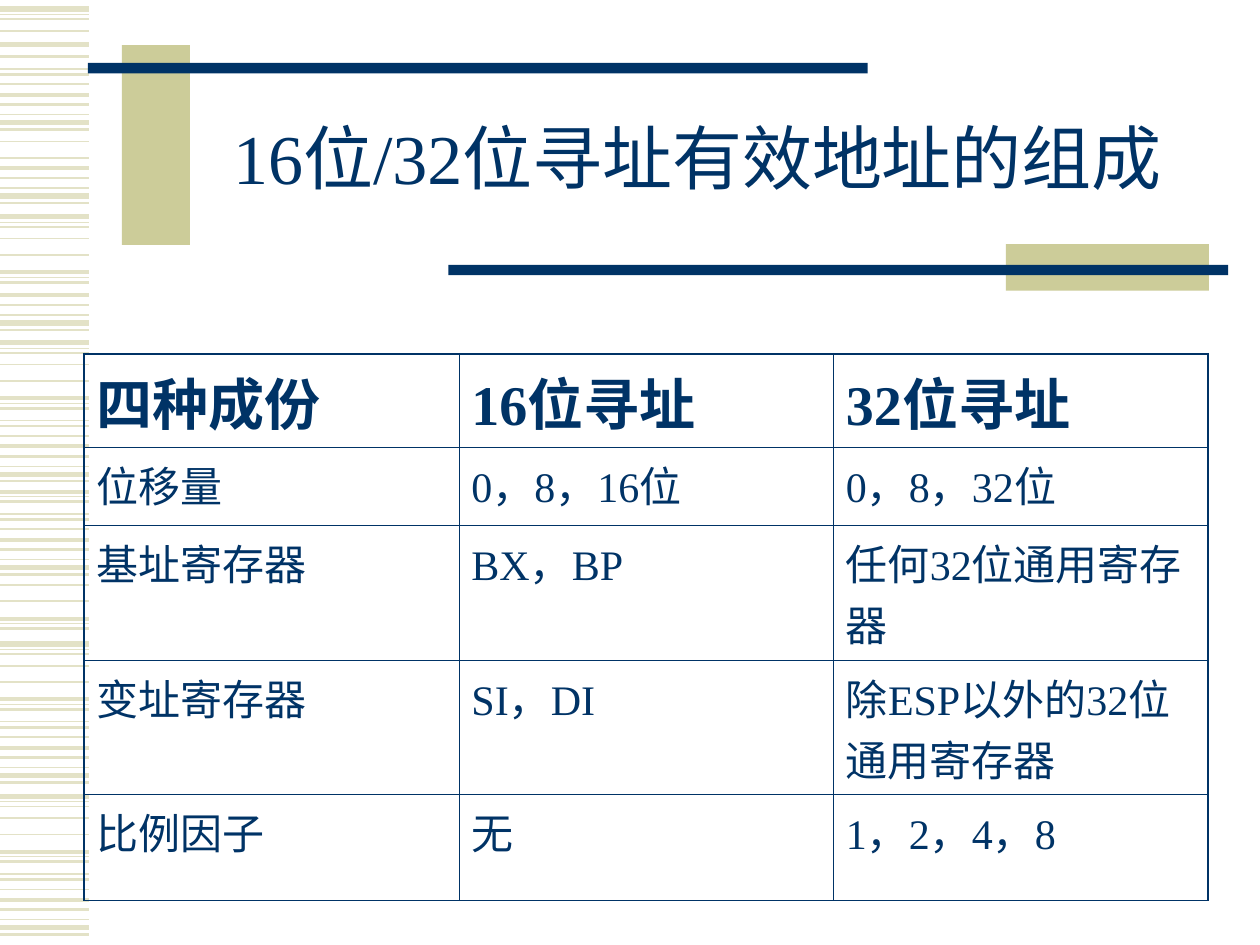
"""Build the slide on effective address composition in 16-bit and 32-bit addressing."""
from typing import NamedTuple

import lxml.etree
import pptx
import pptx.dml.color
import pptx.enum.shapes
import pptx.enum.text
import pptx.oxml
import pptx.oxml.ns
import pptx.util

Cm = pptx.util.Cm
Pt = pptx.util.Pt
COLORS = {"navy": "003366", "olive": "CCCC99", "stripe": "E3E2C7"}
FONT = "Times New Roman"
STRIPE_LENGTH = 1.8
THIN, THICK = 0.45, 1.08


class Stripe(NamedTuple):
    offset: float
    weight: float


class StripeRun(NamedTuple):
    top: float
    first: int = 0
    last: int = 15


class Bar(NamedTuple):
    left: float
    top: float
    width: float
    height: float
    color: str


STRIPES = [
    Stripe(0, 3), Stripe(0.11, 0.75), Stripe(0.21, 1), Stripe(0.44, 1),
    Stripe(0.77, 1), Stripe(1.12, 2.25), Stripe(1.22, 0.75), Stripe(1.32, 1.5),
    Stripe(1.57, 0.75), Stripe(1.68, 1.5), Stripe(1.88, 1), Stripe(2.09, 2.25),
    Stripe(2.29, 1.5), Stripe(2.49, 0.75), Stripe(2.65, 3), Stripe(2.79, 1.5),
]
STRIPE_RUNS = [
    StripeRun(0.18, 0, 3), StripeRun(0.89, 0, 0), StripeRun(-0.18, 7),
    StripeRun(2.08, 4, 4), StripeRun(1.3, 10), StripeRun(4.37, 0, 7),
    StripeRun(3.86, 11), StripeRun(6.91), StripeRun(8.79, 5),
    StripeRun(11.35, 3, 7), StripeRun(12.98), StripeRun(16.05),
]
BARS = [
    Bar(2.46, 0.91, 1.37, 4.03, "olive"),
    Bar(1.77, 1.27, 15.72, 0.21, "navy"),
    Bar(20.28, 4.92, 4.09, 0.94, "olive"),
    Bar(9.04, 5.34, 15.72, 0.21, "navy"),
]
ROWS = [
    ("四种成份", "16位寻址", "32位寻址"),
    ("位移量", "0，8，16位", "0，8，32位"),
    ("基址寄存器", "BX，BP", "任何32位通用寄存器"),
    ("变址寄存器", "SI，DI", "除ESP以外的32位通用寄存器"),
    ("比例因子", "无", "1，2，4，8"),
]
ROW_HEIGHTS = [1.89, 1.57, 2.72, 2.71, 2.13]
COLUMN_WIDTH = 7.55


def rgb(name: str) -> pptx.dml.color.RGBColor:
    """Return the named colour."""
    return pptx.dml.color.RGBColor.from_string(COLORS[name])


def write_text(frame, text: str, *, size: float, bold: bool = False, align=None,
               line_spacing=None) -> None:
    """Write one formatted paragraph in a text frame."""
    frame.word_wrap = True
    paragraph = frame.paragraphs[0]
    paragraph.alignment = align
    paragraph.line_spacing = line_spacing
    run = paragraph.add_run()
    run.text = text
    run.font.name = FONT
    run.font.size = Pt(size)
    run.font.bold = bold
    run.font.color.rgb = rgb("navy")


def draw_stripe(slide, top: float, weight: float) -> None:
    """Draw one horizontal stripe at the left edge."""
    connector = slide.shapes.add_connector(
        pptx.enum.shapes.MSO_CONNECTOR.STRAIGHT, Cm(0), Cm(top), Cm(STRIPE_LENGTH), Cm(top))
    connector.line.color.rgb = rgb("stripe")
    connector.line.width = Pt(weight)
    lxml.etree.SubElement(connector._element.spPr, pptx.oxml.ns.qn("a:effectLst"))


def draw_bar(slide, bar: Bar) -> None:
    """Draw one decorative rectangle."""
    shape = slide.shapes.add_shape(
        pptx.enum.shapes.MSO_SHAPE.RECTANGLE,
        Cm(bar.left), Cm(bar.top), Cm(bar.width), Cm(bar.height))
    shape.shadow.inherit = False
    shape.fill.solid()
    shape.fill.fore_color.rgb = rgb(bar.color)
    shape.line.fill.background()


def set_borders(cell, weights: dict[str, float]) -> None:
    """Give each side of a cell a solid navy line."""
    properties = cell._tc.get_or_add_tcPr()
    for index, (side, weight) in enumerate(weights.items()):
        properties.insert(index, pptx.oxml.parse_xml(
            f'<a:{side} {pptx.oxml.ns.nsdecls("a")} w="{Pt(weight)}"><a:solidFill>'
            f'<a:srgbClr val="{COLORS["navy"]}"/></a:solidFill></a:{side}>'))


def draw_table(slide) -> None:
    """Draw the addressing table."""
    column_count = len(ROWS[0])
    table = slide.shapes.add_table(
        len(ROWS), column_count, Cm(1.7), Cm(7.13),
        Cm(COLUMN_WIDTH * column_count), Cm(sum(ROW_HEIGHTS))).table
    table.first_row = False
    table.horz_banding = False
    for column in table.columns:
        column.width = Cm(COLUMN_WIDTH)
    for row_index, texts in enumerate(ROWS):
        table.rows[row_index].height = Cm(ROW_HEIGHTS[row_index])
        header = row_index == 0
        for column_index, text in enumerate(texts):
            cell = table.cell(row_index, column_index)
            cell.fill.background()
            write_text(cell.text_frame, text, size=32 if header else 24, bold=header)
            cell.text_frame.paragraphs[0].space_before = Pt(8 if header else 6)
            set_borders(cell, {
                "lnL": THICK if column_index == 0 else THIN,
                "lnR": THICK if column_index == column_count - 1 else THIN,
                "lnT": THICK if header else THIN,
                "lnB": THICK if row_index == len(ROWS) - 1 else THIN,
            })


def main() -> None:
    """Build and save the presentation."""
    presentation = pptx.Presentation()
    presentation.slide_width, presentation.slide_height = Cm(25.4), Cm(19.05)
    slide = presentation.slides.add_slide(presentation.slide_layouts[6])
    for run in STRIPE_RUNS:
        for stripe in STRIPES[run.first:run.last + 1]:
            draw_stripe(slide, run.top + stripe.offset, stripe.weight)
    for bar in BARS:
        draw_bar(slide, bar)
    title = slide.shapes.add_textbox(Cm(3.81), Cm(1.7), Cm(20.5), Cm(3.18))
    title.text_frame.vertical_anchor = pptx.enum.text.MSO_ANCHOR.MIDDLE
    write_text(title.text_frame, "16位/32位寻址有效地址的组成", size=40,
               align=pptx.enum.text.PP_ALIGN.CENTER, line_spacing=0.85)
    draw_table(slide)
    presentation.save("out.pptx")


if __name__ == "__main__":
    main()
